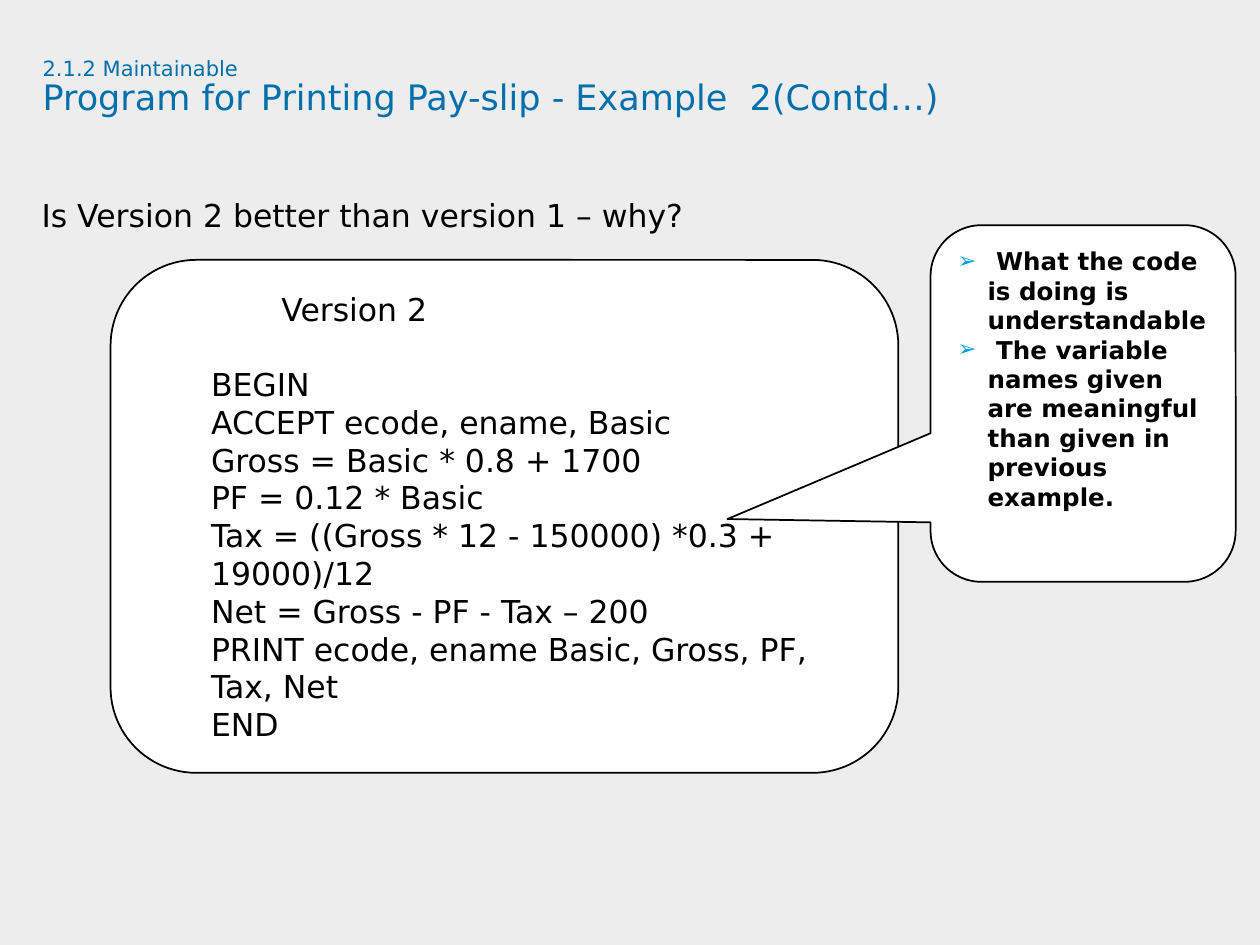
from dataclasses import dataclass

from lxml import etree
from pptx import Presentation
from pptx.dml.color import RGBColor
from pptx.enum import shapes, text
from pptx.oxml import ns
from pptx.util import Cm, Pt

FONT = "DejaVu Sans"
COLORS = {"back": "EDEDED", "title": "0070AD", "text": "000000",
          "panel": "FFFFFF", "line": "000000", "bullet": "00A1E4"}


@dataclass
class Box:
    left: float
    top: float
    width: float
    height: float

    def lengths(self) -> list:
        return [Cm(v) for v in (self.left, self.top, self.width, self.height)]


@dataclass
class Panel:
    kind: shapes.MSO_SHAPE
    box: Box
    adjustments: tuple
    anchor: text.MSO_ANCHOR


TITLE = Box(0.86, 1.17, 23.09, 2.39)
QUESTION = Box(0.84, 4.14, 24.56, 12.9)
CODE_PANEL = Panel(shapes.MSO_SHAPE.ROUNDED_RECTANGLE,
                   Box(2.23, 5.24, 15.88, 10.34), (0.167,),
                   text.MSO_ANCHOR.MIDDLE)
CALLOUT = Panel(shapes.MSO_SHAPE.ROUNDED_RECTANGULAR_CALLOUT,
                Box(18.76, 4.54, 6.15, 7.19), (-1.166, 0.324, 0.167),
                text.MSO_ANCHOR.TOP)

CODE = ["BEGIN",
        "ACCEPT ecode, ename, Basic",
        "Gross = Basic * 0.8 + 1700",
        "PF = 0.12 * Basic",
        "Tax = ((Gross * 12 - 150000) *0.3 + 19000)/12",
        "Net = Gross - PF - Tax – 200",
        "PRINT ecode, ename Basic, Gross, PF, Tax, Net",
        "END"]
REASONS = [" What the code is doing is understandable",
           " The variable names given are meaningful than given in "
           "previous example."]


def rgb(name: str) -> RGBColor:
    return RGBColor.from_string(COLORS[name])


def add_run(p, words: str, size: float, color: str = "text",
            bold: bool = False) -> None:
    r = p.add_run()
    r.text = words
    r.font.name, r.font.size, r.font.bold = FONT, Pt(size), bold
    r.font.color.rgb = rgb(color)


def add_paragraph(tf, words: str, *, size: float, bold: bool = False,
                  left: float = 0, first: float = 0, after: float = 0,
                  bullet: str = ""):
    """Fill the frame's empty first paragraph, or append a new one."""
    p = tf.paragraphs[-1] if not tf.text else tf.add_paragraph()
    p.alignment = text.PP_ALIGN.LEFT
    p.space_after = Pt(after)
    add_run(p, words, size, bold=bold)
    pr = p._p.get_or_add_pPr()
    pr.set("marL", str(Cm(left)))
    pr.set("indent", str(Cm(first)))
    if bullet:
        clr = etree.SubElement(pr, ns.qn("a:buClr"))
        etree.SubElement(clr, ns.qn("a:srgbClr"), val=COLORS["bullet"])
        etree.SubElement(pr, ns.qn("a:buSzPct"), val="90000")
        etree.SubElement(pr, ns.qn("a:buFont"), typeface=FONT)
        etree.SubElement(pr, ns.qn("a:buChar"), char=bullet)
    return p


def set_plain_frame(tf) -> None:
    tf.margin_left = tf.margin_right = tf.margin_top = tf.margin_bottom = 0
    tf.word_wrap = True
    tf.auto_size = text.MSO_AUTO_SIZE.NONE
    tf.vertical_anchor = text.MSO_ANCHOR.TOP


def add_panel(slide, panel: Panel):
    sp = slide.shapes.add_shape(panel.kind, *panel.box.lengths())
    for i, value in enumerate(panel.adjustments):
        sp.adjustments[i] = value
    sp.shadow.inherit = False
    sp.fill.solid()
    sp.fill.fore_color.rgb = rgb("panel")
    sp.line.color.rgb = rgb("line")
    sp.line.width = Pt(1)
    tf = sp.text_frame
    tf.word_wrap = True
    tf.vertical_anchor = panel.anchor
    return tf


def main() -> None:
    prs = Presentation()
    prs.slide_width, prs.slide_height = Cm(25.4), Cm(19.05)
    slide = prs.slides.add_slide(prs.slide_layouts[5])
    slide.background.fill.solid()
    slide.background.fill.fore_color.rgb = rgb("back")

    # Title: section number above the heading
    sp = slide.shapes.title
    sp.left, sp.top, sp.width, sp.height = TITLE.lengths()
    set_plain_frame(sp.text_frame)
    p = sp.text_frame.paragraphs[0]
    p.alignment = text.PP_ALIGN.LEFT
    p.line_spacing = 0.9
    add_run(p, "2.1.2 Maintainable", 12, "title")
    p.add_line_break()
    add_run(p, "Program for Printing Pay-slip - Example  2(Contd…)", 20,
            "title")

    # Question
    tf = slide.shapes.add_textbox(*QUESTION.lengths()).text_frame
    set_plain_frame(tf)
    p = add_paragraph(tf, "Is Version 2 better than version 1 – why?",
                      size=18, after=4.5)
    p.line_spacing = Pt(16.5)

    # Program listing
    tf = add_panel(slide, CODE_PANEL)
    add_paragraph(tf, "Version 2", size=18, left=2.69, after=21.5)
    for line in CODE:
        add_paragraph(tf, line, size=18, left=1.27)

    # Callout with the reasons
    tf = add_panel(slide, CALLOUT)
    for reason in REASONS:
        add_paragraph(tf, reason, size=14, bold=True, left=0.6, first=-0.6,
                      bullet="➢")

    prs.save("out.pptx")


if __name__ == "__main__":
    main()
